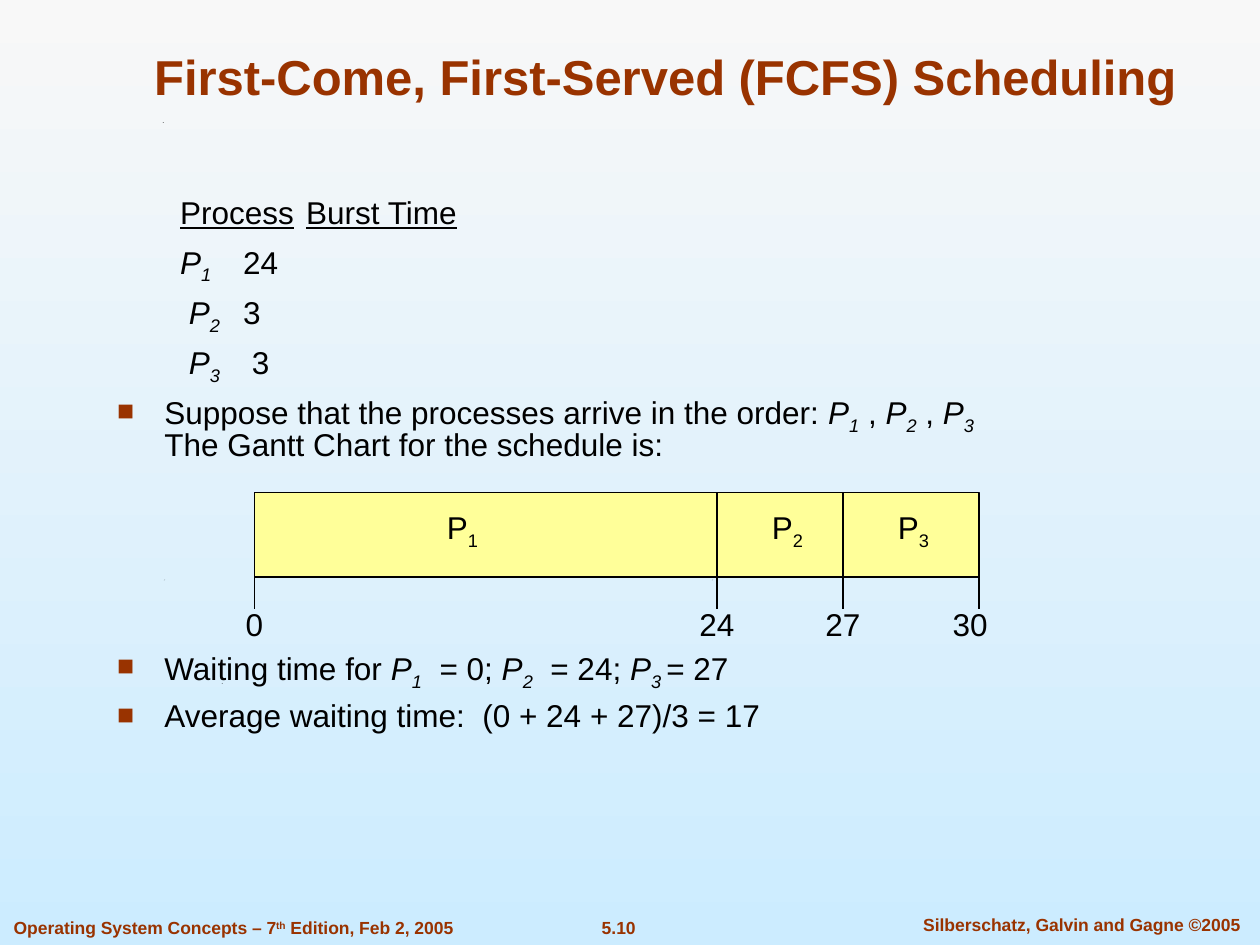
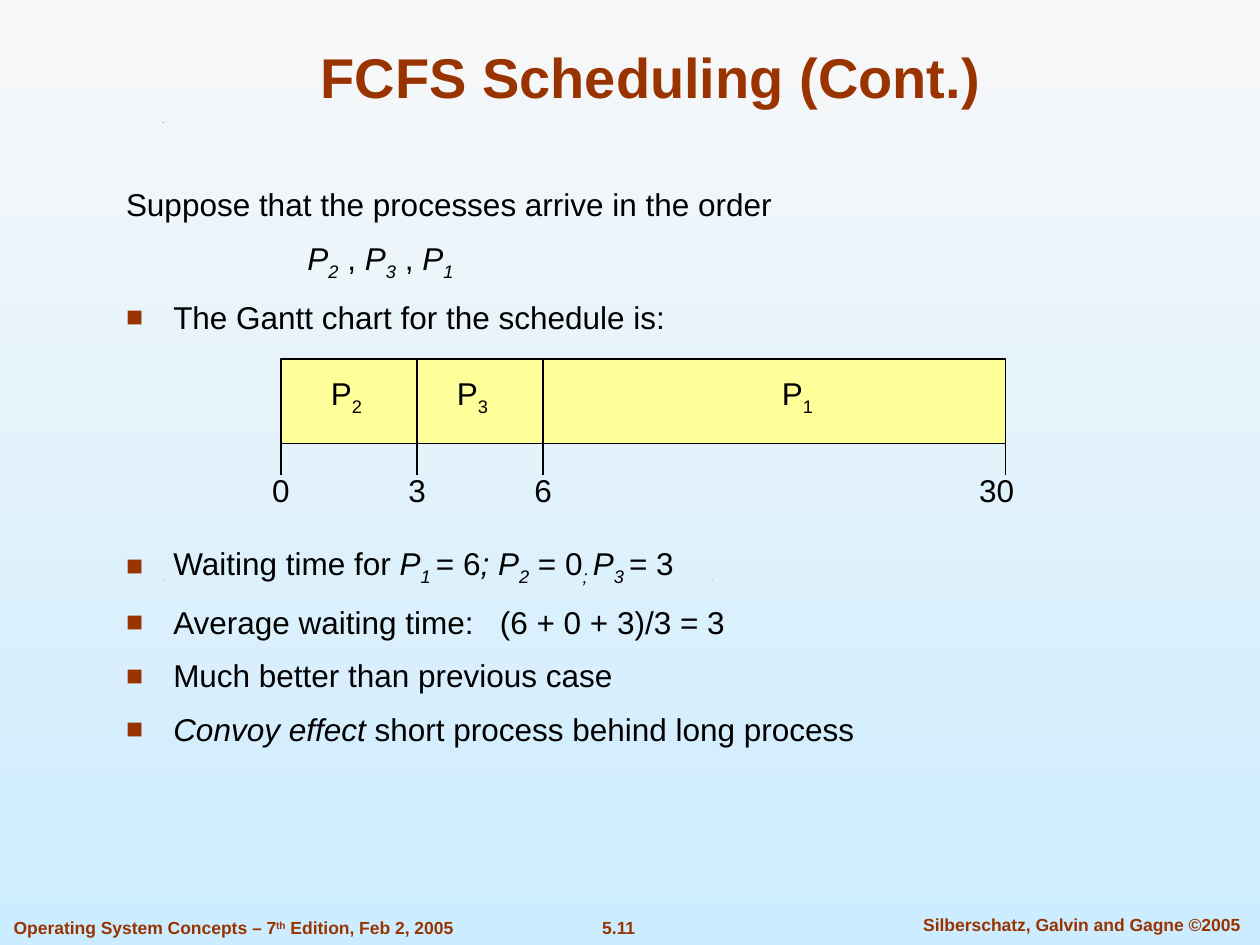
from lxml import etree
from pptx import Presentation
from pptx import util as u
from pptx.dml.color import RGBColor
from pptx.enum import shapes, text
from pptx.oxml import ns

CELL = u.Inches(0.1)
COLS, ROWS = 100, 75
RUST, BLACK, CREAM = "993300", "000000", "FFFF99"
FACE = "Arial"
MARKS = {"*": "italic", "_": "sub", "^": "sup", "~": "line"}
LEFT, MID = text.PP_ALIGN.LEFT, text.PP_ALIGN.CENTER
HANG = 3.75
WIDE, HIGH, TICK = 57.5, 6.7, 2.5
CUTS = [0, 36.7, 46.7, WIDE]
SPOTS = [16.5, 42.3, 52.3]
SPECKS = [(12.9, 9.7), (13, 46), (56.5, 46), (17.6, 54.2)]


def grid(*cells):
    return [round(cell * CELL) for cell in cells]


def tint(code):
    return RGBColor.from_string(code)


def node(parent, tag, **attrs):
    return etree.SubElement(parent, ns.qn(tag), attrs)


class Deck:
    def __init__(self):
        self.prs = Presentation()
        self.prs.slide_width, self.prs.slide_height = grid(COLS, ROWS)
        fill = self.prs.slide_master.background.fill
        fill.gradient()
        fill.gradient_angle = 270
        for stop, code in zip(fill.gradient_stops, ("F8F8F8", "CCECFF")):
            stop.color.rgb = tint(code)

    def page(self, number):
        self.slide = self.prs.slides.add_slide(self.prs.slide_layouts[1])
        foot = dict(size=10, code=RUST, bold=True)
        self.label(number, 44.2, 72.3, 9.8, 2.7, **foot)
        self.label("Silberschatz, Galvin and Gagne ©2005", 71, 72, 29.7, 2.7, **foot)
        self.label("Operating System Concepts – 7^th^ Edition, Feb 2, 2005",
                   0.1, 72.3, 36.9, 2.7, align=LEFT, **foot)
        for x, y in SPECKS:
            self.speck(x, y)

    def place(self, shape, *cells):
        shape.left, shape.top, shape.width, shape.height = grid(*cells)
        frame = shape.text_frame
        frame.auto_size = text.MSO_AUTO_SIZE.NONE
        frame.word_wrap = True
        return frame

    def style(self, para, size, code=BLACK, bold=False):
        font = para.font
        font.name, font.size, font.bold = FACE, u.Pt(size), bold
        font.color.rgb = tint(code)

    def words(self, para, copy):
        state, chunk = set(), ""
        for char in copy:
            if char not in MARKS and char != "\n":
                chunk += char
                continue
            self.piece(para, chunk, state)
            chunk = ""
            if char == "\n":
                para.add_line_break()
            else:
                state ^= {MARKS[char]}
        self.piece(para, chunk, state)

    def piece(self, para, chunk, state):
        if not chunk:
            return
        run = para.add_run()
        run.text = chunk
        if "italic" in state:
            run.font.italic = True
        if "line" in state:
            run.font.underline = True
        for mark, shift in (("sub", "-25000"), ("sup", "30000")):
            if mark in state:
                run.font._element.set("baseline", shift)

    def label(self, copy, *cells, size=18, code=BLACK, bold=False, align=MID):
        frame = self.place(self.slide.shapes.add_textbox(0, 0, 0, 0), *cells)
        frame.vertical_anchor = text.MSO_ANCHOR.MIDDLE
        para = frame.paragraphs[0]
        para.alignment = align
        self.style(para, size, code, bold)
        self.words(para, copy)

    def title(self, copy, size, *cells):
        frame = self.place(self.slide.shapes.title, *cells)
        frame.vertical_anchor = text.MSO_ANCHOR.BOTTOM
        para = frame.paragraphs[0]
        para.alignment = MID
        self.style(para, size, RUST, True)
        self.words(para, copy)

    def body(self, items, pitch, *cells):
        frame = self.place(self.slide.placeholders[1], *cells)
        for i, (copy, look) in enumerate(items):
            para = frame.add_paragraph() if i else frame.paragraphs[0]
            para.line_spacing = pitch
            para.space_before = u.Pt(look.get("gap", 9.1) if i else 0)
            self.indent(para, look)
            self.style(para, 18)
            self.words(para, copy)

    def indent(self, para, look):
        props = para._p.get_or_add_pPr()
        dot = look.get("dot")
        left, first = grid(HANG, -HANG) if dot else grid(look.get("left", 0), 0)
        props.set("marL", str(left))
        props.set("indent", str(first))
        if dot:
            node(node(props, "a:buClr"), "a:srgbClr", val=RUST)
            node(props, "a:buSzPct", val="90000")
            node(props, "a:buFont", typeface=FACE)
            node(props, "a:buChar", char="■")
        else:
            node(props, "a:buNone")
        if "tabs" in look:
            stops = node(props, "a:tabLst")
            for pos in grid(*look["tabs"]):
                node(stops, "a:tab", pos=str(pos), algn="l")

    def box(self, *cells):
        rect = self.slide.shapes.add_shape(shapes.MSO_SHAPE.RECTANGLE, *grid(*cells))
        rect.shadow.inherit = False
        rect.fill.solid()
        rect.fill.fore_color.rgb = tint(CREAM)
        rect.line.color.rgb = tint(BLACK)
        rect.line.width = u.Pt(0.75)

    def rule(self, x, top, end):
        line = self.slide.shapes.add_connector(
            shapes.MSO_CONNECTOR.STRAIGHT, *grid(x, top, x, end))
        line.line.color.rgb = tint(BLACK)
        line.line.width = u.Pt(0.75)
        node(line._element.spPr, "a:effectLst")

    def speck(self, x, y):
        pen = self.slide.shapes.build_freeform(*grid(x, y + 0.05))
        pen.add_line_segments([grid(x + 0.1, y), grid(x + 0.05, y + 0.05)], close=True)
        dot = pen.convert_to_shape()
        dot.shadow.inherit = False
        dot.fill.solid()
        dot.fill.fore_color.rgb = tint(BLACK)
        dot.line.fill.background()

    def gantt(self, left, top, names, times, flip=False):
        cuts, spots = CUTS, SPOTS
        if flip:
            cuts, spots = ([WIDE - x for x in reversed(row)] for row in (CUTS, SPOTS))
        base = top + HIGH
        self.box(left, top, WIDE, HIGH)
        for name, x in zip(names, spots):
            self.label(name, left + x - 3, top + 0.7, 6, 4.4)
        for x in cuts[1:-1]:
            self.rule(left + x, top, base)
        for time, x in zip(times, cuts):
            self.rule(left + x, base, base + TICK)
            nudge = 0.7 if x == WIDE else 0
            self.label(time, left + x - nudge - 3, base + 1.7, 6, 4)


def main():
    deck = Deck()
    row, dot = dict(tabs=(13.75, 23.75)), dict(dot=True)

    deck.page("5.10")
    deck.title("First-Come, First-Served (FCFS) Scheduling", 28, 7.2, 3.9, 91.2, 5)
    deck.body([
        ("\t~Process~\t~Burst Time~", row),
        ("\t*P_1_*\t24", row),
        ("\t *P_2_*\t3", row),
        ("\t *P_3_*\t 3", row),
        ("Suppose that the processes arrive in the order: "
         "*P_1_* , *P_2_* , *P_3_*\nThe Gantt Chart for the schedule is:", dot),
        ("Waiting time for *P_1_*  = 0; *P_2_*  = 24; *P_3 _*= 27", dict(dot, gap=109)),
        ("Average waiting time:  (0 + 24 + 27)/3 = 17", dot),
    ], 0.8, 8.3, 15.4, 82.7, 45)
    deck.gantt(20.2, 39.1, ["P_1_", "P_2_", "P_3_"], ["0", "24", "27", "30"])

    deck.page("5.11")
    deck.title("FCFS Scheduling (Cont.)", 32, 7.5, 2.5, 88.3, 6.7)
    deck.body([
        ("Suppose that the processes arrive in the order", {}),
        ("*P_2_* , *P_3_* , *P_1_*", dict(left=14.4)),
        ("The Gantt chart for the schedule is:", dot),
        ("Waiting time for *P_1 _*= 6*; P_2_* = 0*_; _P_3 _*= 3", dict(dot, gap=119)),
        ("Average waiting time:   (6 + 0 + 3)/3 = 3", dot),
        ("Much better than previous case", dot),
        ("*Convoy effect* short process behind long process", dot),
    ], 1.0, 9, 14.2, 80.4, 49)
    deck.gantt(22.3, 28.5, ["P_2_", "P_3_", "P_1_"], ["0", "3", "6", "30"], flip=True)

    deck.prs.save("out.pptx")


if __name__ == "__main__":
    main()
